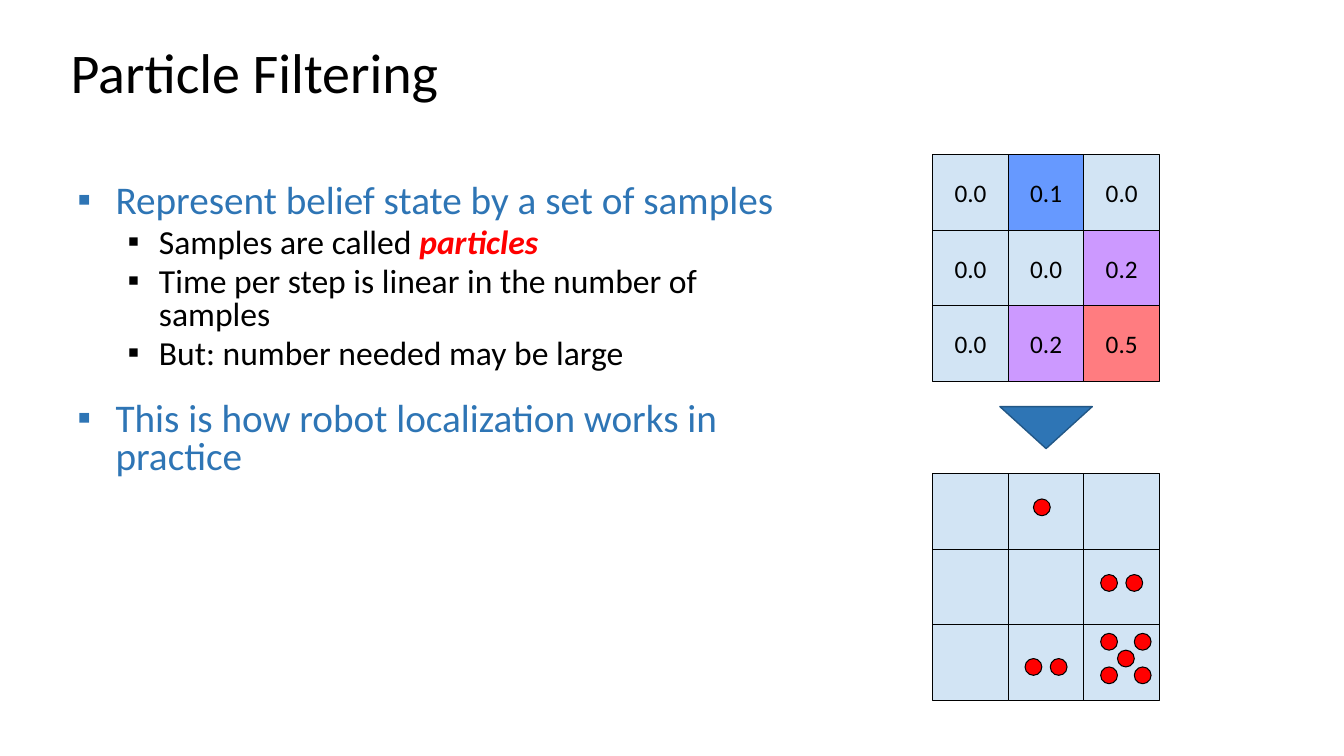
from dataclasses import dataclass

from lxml import etree
from pptx import Presentation
from pptx.dml.color import RGBColor
from pptx.enum.shapes import MSO_SHAPE
from pptx.enum.text import MSO_ANCHOR, MSO_AUTO_SIZE, PP_ALIGN
from pptx.oxml.ns import qn
from pptx.util import Inches, Pt

RECTANGLE, OVAL = MSO_SHAPE.RECTANGLE, MSO_SHAPE.OVAL
TRIANGLE = MSO_SHAPE.ISOSCELES_TRIANGLE
LEFT, CENTER = PP_ALIGN.LEFT, PP_ALIGN.CENTER
MIDDLE, TOP = MSO_ANCHOR.MIDDLE, MSO_ANCHOR.TOP
FIXED_SIZE = MSO_AUTO_SIZE.NONE

# The page grid has twelve units to the inch.
UNIT = Inches(1) / 12
CELL = 9
GRID_LEFT = 111
BELIEF_TOP, SAMPLE_TOP = 18.4, 56.4
PARTICLE_SIZE = 2

BLACK, RED, BLUE, PALE = "000000", "FF0000", "2E75B5", "D2E4F4"
BELIEF = [["0.0", "0.1", "0.0"], ["0.0", "0.0", "0.2"], ["0.0", "0.2", "0.5"]]
BELIEF_FILLS = {"0.0": PALE, "0.1": "6699FF", "0.2": "CC99FF", "0.5": "FF7C80"}


@dataclass
class Particle:
    column: int
    row: int


@dataclass
class Bullet:
    text: str
    level: int = 1
    space_before: float = 4.8
    emphasis: str = ""


@dataclass
class BulletStyle:
    size: float
    color: str
    indent: float
    hanging: float


PARTICLES = [
    Particle(12, 3),
    Particle(20, 12), Particle(23, 12),
    Particle(11, 22), Particle(14, 22),
    Particle(20, 19), Particle(24, 19), Particle(22, 21),
    Particle(20, 23), Particle(24, 23),
]
STYLES = [BulletStyle(28, BLUE, 0.38, 0.38), BulletStyle(24, BLACK, 0.81, 0.31)]
BULLETS = [
    Bullet("Represent belief state by a set of samples", level=0, space_before=0),
    Bullet("Samples are called ", emphasis="particles"),
    Bullet("Time per step is linear in the number of samples"),
    Bullet("But: number needed may be large"),
    Bullet("This is how robot localization works in practice", level=0,
           space_before=22),
]


def rgb(color: str) -> RGBColor:
    return RGBColor.from_string(color)


def units(*lengths: float) -> list[int]:
    return [round(length * UNIT) for length in lengths]


def place(box, left: float, top: float, width: float, height: float) -> None:
    box.left, box.top, box.width, box.height = units(left, top, width, height)


def add_text(para, text: str, size: float, color: str = BLACK,
             bold: bool = False, italic: bool = False) -> None:
    span = para.add_run()
    span.text = text
    span.font.name = "Calibri"
    span.font.size = Pt(size)
    span.font.bold, span.font.italic = bold, italic
    span.font.color.rgb = rgb(color)


def add_box(shapes, kind, left: float, top: float, width: float, height: float,
            fill: str, line: str = BLACK, line_width: float = 0.75):
    box = shapes.add_shape(kind, *units(left, top, width, height))
    box.shadow.inherit = False
    box.fill.solid()
    box.fill.fore_color.rgb = rgb(fill)
    box.line.color.rgb = rgb(line)
    box.line.width = Pt(line_width)
    return box


def add_grid(page, top: float, values: list[list[str]]):
    """Draw a grouped grid of cells; an empty value gives a plain cell."""
    group = page.shapes.add_group_shape()
    for row, row_values in enumerate(values):
        for column, value in enumerate(row_values):
            cell = add_box(group.shapes, RECTANGLE, GRID_LEFT + column * CELL,
                           top + row * CELL, CELL, CELL,
                           BELIEF_FILLS.get(value, PALE))
            if value:
                frame = cell.text_frame
                frame.word_wrap = False
                frame.vertical_anchor = MIDDLE
                para = frame.paragraphs[0]
                para.alignment = CENTER
                add_text(para, value, 18)
    return group


def add_bullet(para, bullet: Bullet) -> None:
    style = STYLES[bullet.level]
    para.level = bullet.level
    properties = para._p.get_or_add_pPr()
    properties.set("marL", str(Inches(style.indent)))
    properties.set("indent", str(-Inches(style.hanging)))
    bullet_color = etree.SubElement(properties, qn("a:buClr"))
    etree.SubElement(bullet_color, qn("a:srgbClr"), val=style.color)
    etree.SubElement(properties, qn("a:buChar"), char="▪")
    para.alignment = LEFT
    para.line_spacing = 0.8
    para.space_before = Pt(bullet.space_before)
    add_text(para, bullet.text, style.size, style.color)
    if bullet.emphasis:
        add_text(para, bullet.emphasis, style.size, RED, bold=True, italic=True)


def add_title(page) -> None:
    title = page.shapes.title
    place(title, 7.2, 4.8, 138, 8.3)
    frame = title.text_frame
    frame.auto_size = FIXED_SIZE
    frame.vertical_anchor = MIDDLE
    para = frame.paragraphs[0]
    para.alignment = LEFT
    para.line_spacing = 0.9
    add_text(para, "Particle Filtering", 40)


def add_body(page) -> None:
    body = page.placeholders[1]
    place(body, 8, 21.4, 90, 56)
    frame = body.text_frame
    frame.auto_size = FIXED_SIZE
    frame.word_wrap = True
    frame.vertical_anchor = TOP
    for index, bullet in enumerate(BULLETS):
        para = frame.add_paragraph() if index else frame.paragraphs[0]
        add_bullet(para, bullet)


def main() -> None:
    deck = Presentation()
    deck.slide_width, deck.slide_height = Inches(13.33), Inches(7.5)
    page = deck.slides.add_slide(deck.slide_layouts[1])
    add_title(page)
    add_body(page)
    add_grid(page, BELIEF_TOP, BELIEF)
    samples = add_grid(page, SAMPLE_TOP, [[""] * 3] * 3)
    for particle in PARTICLES:
        add_box(samples.shapes, OVAL, GRID_LEFT + particle.column,
                SAMPLE_TOP + particle.row, PARTICLE_SIZE, PARTICLE_SIZE, RED)
    arrow = add_box(page.shapes, TRIANGLE, 119, 48.4, 11, 5, BLUE, "225786", 1)
    arrow.rotation = 180
    deck.save("out.pptx")


if __name__ == "__main__":
    main()
